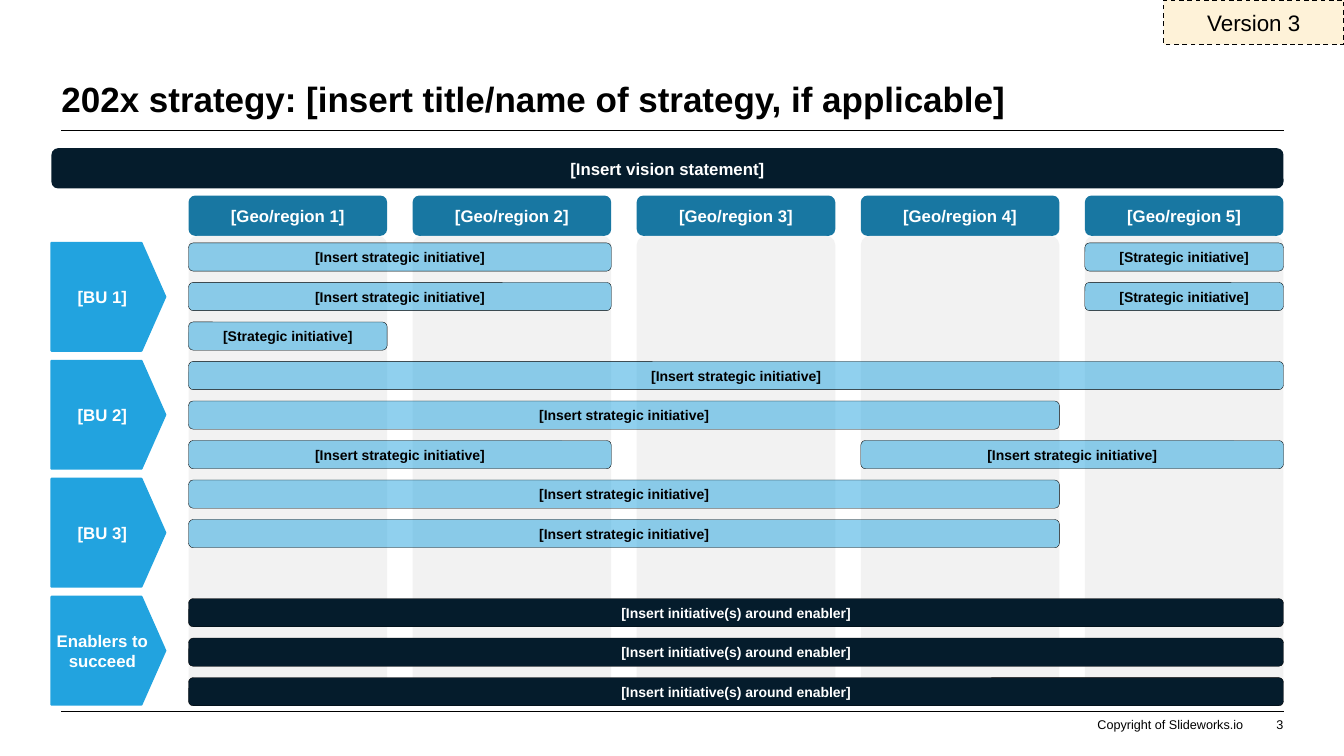
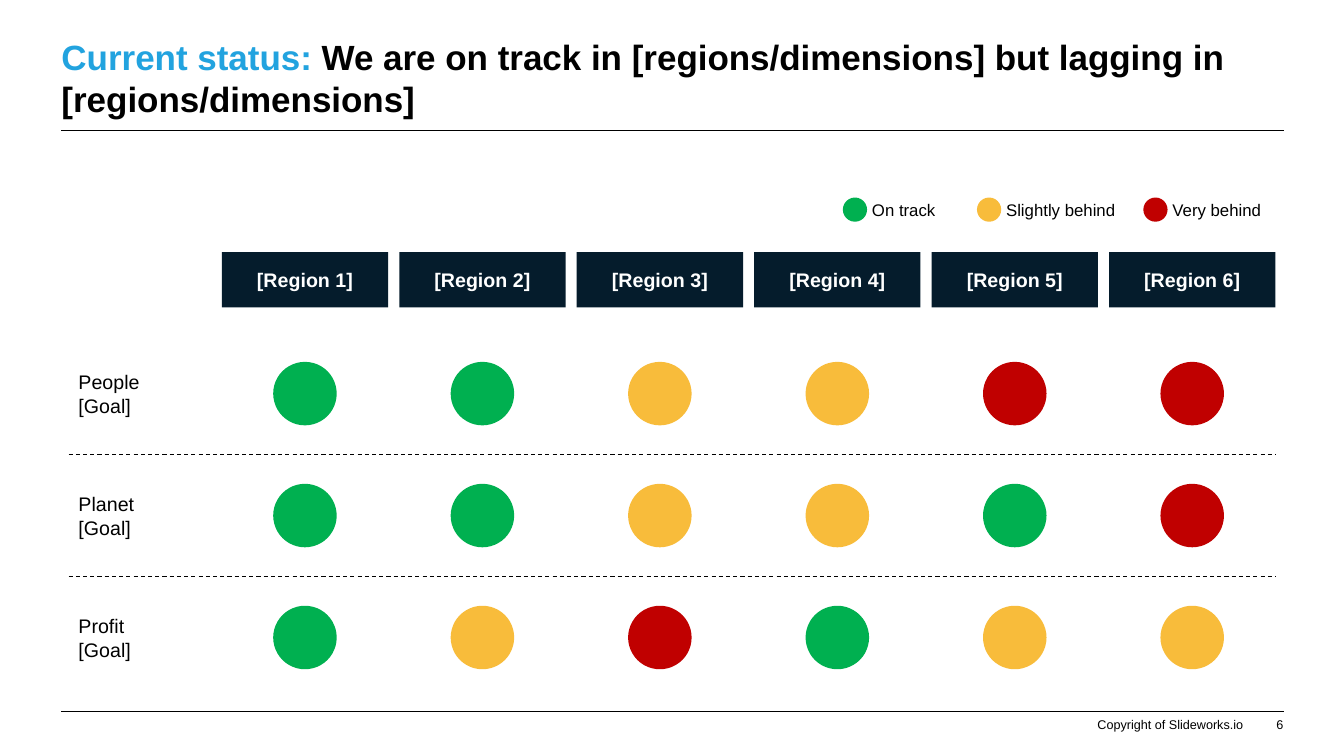
"""Build a strategy overview and a status dashboard that share one frame."""
from dataclasses import dataclass
from enum import Enum
from typing import NamedTuple

from lxml.etree import SubElement
from pptx import Presentation
from pptx.dml.color import RGBColor
from pptx.enum.dml import MSO_LINE_DASH_STYLE as Dash
from pptx.enum.shapes import MSO_CONNECTOR, MSO_SHAPE as Shape
from pptx.enum.text import MSO_ANCHOR as Anchor, PP_ALIGN as Align
from pptx.oxml.ns import qn
from pptx.util import Inches, Pt

WIDTH, HEIGHT = 13.33, 7.5
LEFT, RIGHT = 0.61, 12.73
FONT = "Arial"
BLACK, WHITE, NAVY, TEAL, SKY = "000000", "FFFFFF", "051C2C", "1877A2", "22A3DF"
GREY, CREAM, GREEN, AMBER, RED = "F2F2F2", "FEF2D8", "00B050", "F8BC3B", "C00000"


class Box(NamedTuple):
    left: float
    top: float
    width: float
    height: float


class Run(NamedTuple):
    text: str
    color: str = BLACK


@dataclass(frozen=True)
class TextStyle:
    size: float
    color: str = BLACK
    bold: bool = False
    align: Align = Align.CENTER
    anchor: Anchor = Anchor.MIDDLE
    inset: float = 0.04


@dataclass(frozen=True)
class Outline:
    color: str
    width: float
    dash: Dash | None = None


@dataclass(frozen=True)
class Look:
    shape: Shape
    fill: str
    outline: Outline | None = None
    adjust: float | None = None
    opacity: int = 100


@dataclass(frozen=True)
class Grid:
    left: float
    top: float
    column_step: float
    row_step: float
    cell_width: float
    cell_height: float

    def cell(self, column: int, row: int, columns: int = 1) -> Box:
        """Return the box of a cell, spanning the given number of columns."""
        return Box(self.left + column * self.column_step, self.top + row * self.row_step,
                   self.cell_width + (columns - 1) * self.column_step, self.cell_height)


class Initiative(NamedTuple):
    row: int
    column: int
    columns: int


class Status(Enum):
    ON_TRACK = ("On track", GREEN, 8.36)
    SLIGHTLY = ("Slightly behind", AMBER, 9.69)
    VERY = ("Very behind", RED, 11.34)


HAIRLINE = Outline(BLACK, 0.25)
FRAME_RULE = Outline(BLACK, 0.5)
GOAL_RULE = Outline(BLACK, 0.75, Dash.DASH)
TITLE = TextStyle(25, bold=True, align=Align.LEFT, anchor=Anchor.BOTTOM, inset=0)
FOOTER = TextStyle(9, align=Align.RIGHT, anchor=Anchor.BOTTOM, inset=0)
HEADING = TextStyle(12, WHITE, bold=True)
INITIATIVE_TEXT = TextStyle(10, bold=True)
ENABLER_TEXT = TextStyle(10, WHITE, bold=True)
REGION_TEXT = TextStyle(14, WHITE, bold=True, inset=0.1)
GOAL_TEXT = TextStyle(14, align=Align.LEFT, inset=0.1)
LEGEND_TEXT = TextStyle(12, align=Align.LEFT, inset=0.1)
VERSION_TEXT = TextStyle(16)

VISION = Look(Shape.ROUNDED_RECTANGLE, NAVY)
GEO_HEADER = Look(Shape.ROUNDED_RECTANGLE, TEAL)
GEO_COLUMN = Look(Shape.ROUNDED_RECTANGLE, GREY, adjust=0.046)
UNIT = Look(Shape.PENTAGON, SKY, Outline(SKY, 1.5), adjust=0.221)
INITIATIVE = Look(Shape.ROUNDED_RECTANGLE, SKY, HAIRLINE, opacity=50)
ENABLER = Look(Shape.ROUNDED_RECTANGLE, NAVY, HAIRLINE)
VERSION = Look(Shape.RECTANGLE, CREAM, Outline(BLACK, 0.85, Dash.DASH))
REGION = Look(Shape.RECTANGLE, NAVY)

UNITS = ("[BU 1]", "[BU 2]", "[BU 3]", "Enablers to succeed")
GEO_COUNT, ROWS_PER_UNIT = 5, 3
INITIATIVES = (
    Initiative(0, 0, 2), Initiative(0, 4, 1), Initiative(1, 0, 2), Initiative(1, 4, 1),
    Initiative(2, 0, 1), Initiative(3, 0, 5), Initiative(4, 0, 4), Initiative(5, 0, 2),
    Initiative(5, 3, 2), Initiative(6, 0, 4), Initiative(7, 0, 4),
)
GOOD, LATE, BAD = Status.ON_TRACK, Status.SLIGHTLY, Status.VERY
GOALS = {
    "People": (GOOD, GOOD, LATE, LATE, BAD, BAD),
    "Planet": (GOOD, GOOD, LATE, LATE, GOOD, BAD),
    "Profit": (GOOD, LATE, BAD, GOOD, LATE, LATE),
}
REGION_COUNT = 6


def rgb(color: str) -> RGBColor:
    """Turn a hex string into a colour."""
    return RGBColor.from_string(color)


def write(frame, paragraphs: list[list[Run]], style: TextStyle, wrap: bool = True) -> None:
    """Fill a text frame run by run."""
    frame.word_wrap = wrap
    frame.vertical_anchor = style.anchor
    frame.margin_left = frame.margin_right = Inches(style.inset)
    frame.margin_top = frame.margin_bottom = Inches(style.inset)
    for index, runs in enumerate(paragraphs):
        paragraph = frame.add_paragraph() if index else frame.paragraphs[0]
        paragraph.alignment = style.align
        for text, color in runs:
            run = paragraph.add_run()
            run.text = text
            run.font.name, run.font.size, run.font.bold = FONT, Pt(style.size), style.bold
            run.font.color.rgb = rgb(color)


def add_text(slide, box: Box, paragraphs: list[list[Run]], style: TextStyle,
             wrap: bool = True) -> None:
    """Add a text box."""
    label = slide.shapes.add_textbox(*map(Inches, box))
    write(label.text_frame, paragraphs, style, wrap)


def draw_outline(line, outline: Outline) -> None:
    """Apply colour, width and dash to a line."""
    line.color.rgb = rgb(outline.color)
    line.width = Pt(outline.width)
    if outline.dash:
        line.dash_style = outline.dash


def add_block(slide, box: Box, look: Look, text: str = "",
              style: TextStyle = HEADING) -> None:
    """Add a filled shape, with text if given."""
    block = slide.shapes.add_shape(look.shape, *map(Inches, box))
    block.shadow.inherit = False
    block.fill.solid()
    block.fill.fore_color.rgb = rgb(look.fill)
    if look.opacity < 100:
        fill_color = block.fill._xPr.find(qn("a:solidFill"))[0]
        SubElement(fill_color, qn("a:alpha")).set("val", str(look.opacity * 1000))
    if look.adjust is not None:
        block.adjustments[0] = look.adjust
    if look.outline:
        draw_outline(block.line, look.outline)
    else:
        block.line.fill.background()
    if text:
        write(block.text_frame, [[Run(text, style.color)]], style)


def add_rule(slide, left: float, right: float, top: float, outline: Outline) -> None:
    """Add a horizontal line."""
    rule = slide.shapes.add_connector(
        MSO_CONNECTOR.STRAIGHT, *map(Inches, (left, top, right, top)))
    draw_outline(rule.line, outline)
    SubElement(rule._element.spPr, qn("a:effectLst"))


def add_framed_slide(deck, title: list[Run], number: int):
    """Add a blank slide with title, rules and footer."""
    slide = deck.slides.add_slide(deck.slide_layouts[6])
    for top in (1.29, 7.06):
        add_rule(slide, LEFT, RIGHT, top, FRAME_RULE)
    add_text(slide, Box(LEFT, 0.39, RIGHT - LEFT, 0.8), [title], TITLE)
    add_text(slide, Box(10.87, 7.11, 1.46, 0.15),
             [[Run("Copyright of Slideworks.io")]], FOOTER, wrap=False)
    add_text(slide, Box(12.37, 7.11, 0.36, 0.15), [[Run(str(number))]], FOOTER)
    return slide


def build_strategy(deck) -> None:
    """Build the map of initiatives by unit and region."""
    slide = add_framed_slide(
        deck, [Run("202x strategy: [insert title/name of strategy, if applicable]")], 3)
    grid = Grid(1.87, 2.41, 2.2225, 0.392, 1.97, 0.28)
    add_block(slide, Box(0.51, 1.47, RIGHT - 0.51, 0.4), VISION, "[Insert vision statement]")
    for column in range(GEO_COUNT):
        cell = grid.cell(column, 0)
        add_block(slide, cell._replace(top=1.94, height=0.4), GEO_HEADER,
                  f"[Geo/region {column + 1}]")
        add_block(slide, cell._replace(top=2.34, height=4.64), GEO_COLUMN)
    unit_step = 1.17
    for index, unit in enumerate(UNITS):
        add_block(slide, Box(0.51, grid.top + index * unit_step, 1.13, 1.07), UNIT, unit)
    for row, column, columns in INITIATIVES:
        text = "[Strategic initiative]" if columns == 1 else "[Insert strategic initiative]"
        add_block(slide, grid.cell(column, row, columns), INITIATIVE, text, INITIATIVE_TEXT)
    first_enabler = (len(UNITS) - 1) * ROWS_PER_UNIT
    for row in range(first_enabler, first_enabler + ROWS_PER_UNIT):
        add_block(slide, grid.cell(0, row, GEO_COUNT), ENABLER,
                  "[Insert initiative(s) around enabler]", ENABLER_TEXT)
    add_block(slide, Box(WIDTH - 1.79, 0, 1.79, 0.44), VERSION, "Version 3", VERSION_TEXT)


def add_light(slide, left: float, top: float, size: float, status: Status) -> None:
    """Add a round status light."""
    add_block(slide, Box(left, top, size, size), Look(Shape.OVAL, status.value[1]))


def build_status(deck) -> None:
    """Build the status lights by goal and region."""
    slide = add_framed_slide(deck, [
        Run("Current status: ", SKY),
        Run("We are on track in [regions/dimensions] but lagging in [regions/dimensions]"),
    ], 6)
    for status in Status:
        label, _, left = status.value
        add_light(slide, left, 1.96, 0.24, status)
        add_text(slide, Box(left + 0.19, 1.92, 1.32, 0.32), [[Run(label)]], LEGEND_TEXT)
    header = Grid(2.2, 2.5, 1.76, 0, 1.65, 0.55)
    lights = Grid(2.71, 3.59, header.column_step, 1.21, 0.63, 0.63)
    for column in range(REGION_COUNT):
        add_block(slide, header.cell(column, 0), REGION, f"[Region {column + 1}]", REGION_TEXT)
    for row, (goal, statuses) in enumerate(GOALS.items()):
        top = lights.cell(0, row).top
        add_text(slide, Box(0.68, top + 0.04, 2.22, 0.55),
                 [[Run(goal)], [Run("[Goal]")]], GOAL_TEXT)
        if row:
            add_rule(slide, 0.68, 12.65, top - 0.29, GOAL_RULE)
        for column, status in enumerate(statuses):
            add_light(slide, lights.cell(column, row).left, top, lights.cell_width, status)


def main() -> None:
    """Build and save the deck."""
    deck = Presentation()
    deck.slide_width, deck.slide_height = Inches(WIDTH), Inches(HEIGHT)
    build_strategy(deck)
    build_status(deck)
    deck.save("out.pptx")


if __name__ == "__main__":
    main()
